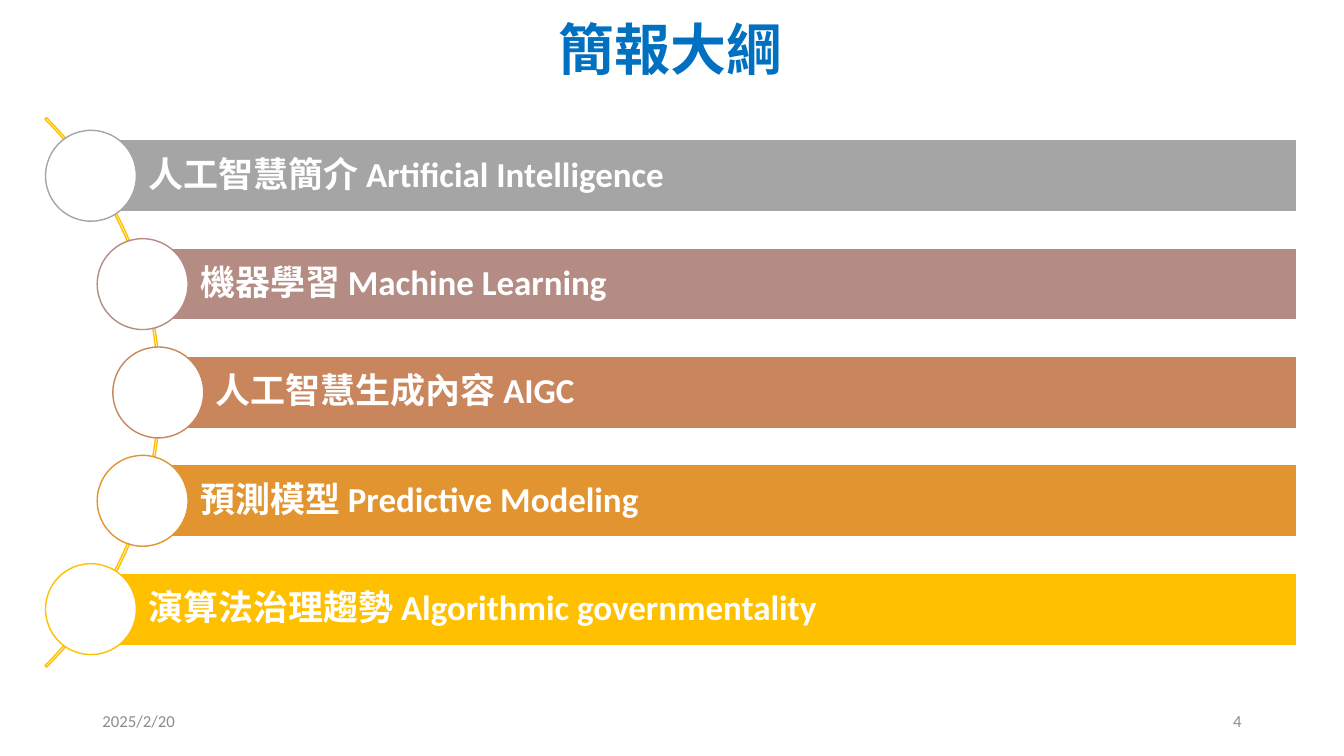
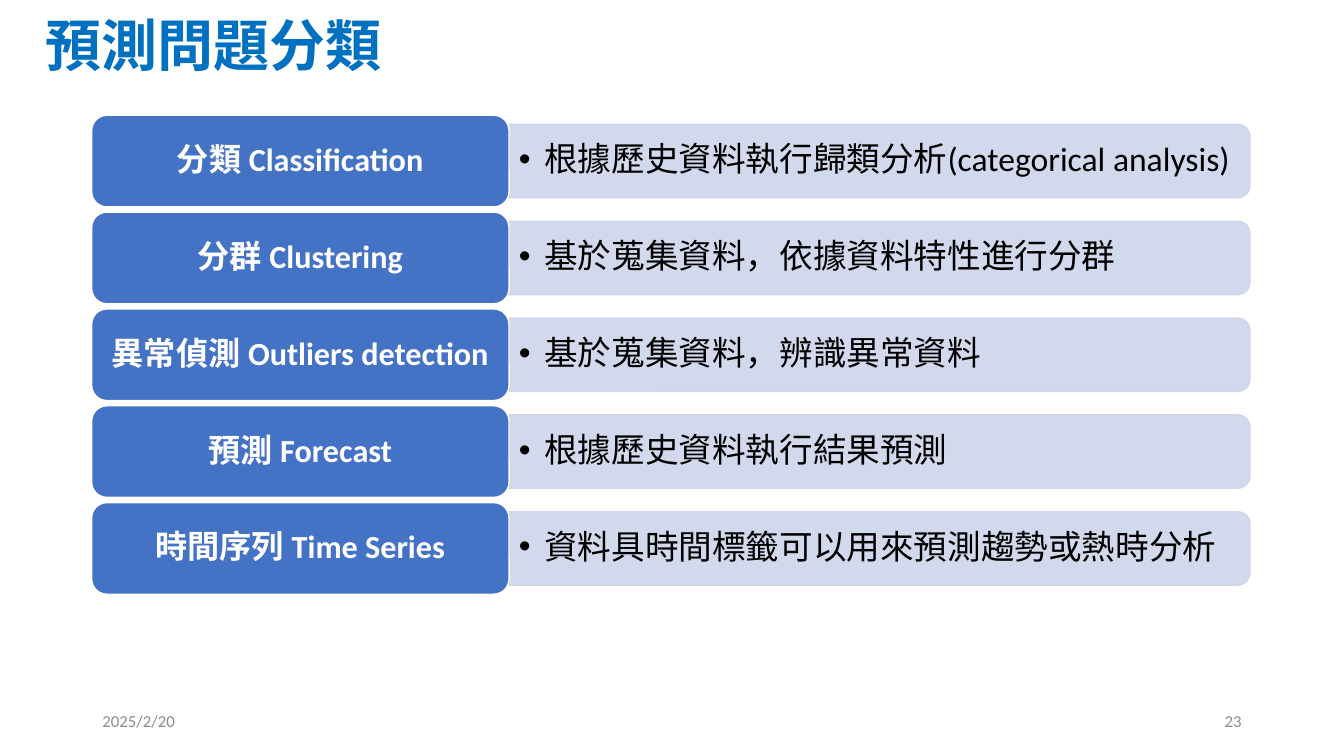
from math import sqrt
from typing import NamedTuple

from lxml.etree import SubElement as Sub
from pptx import Presentation
from pptx.dml.color import RGBColor as Rgb
from pptx.enum.shapes import MSO_SHAPE as Kind
from pptx.enum.text import MSO_ANCHOR as Anchor, PP_ALIGN as Align
from pptx.oxml.ns import qn
from pptx.shapes.autoshape import Shape
from pptx.slide import Slide
from pptx.util import Cm, Pt

FACE = "Calibri"
HUES = {
    "title": "0070C0", "foot": "8C8C8C", "white": "FFFFFF", "black": "000000",
    "arc": "FFC000", "label": "4472C4", "panel": "CFD5EA",
}


class Style(NamedTuple):
    size: int
    hue: str
    bold: bool = False
    align: Align = Align.LEFT
    lead: float = 0.9
    pad: tuple[float, float, float, float] = (0.25, 0.13, 0.25, 0.13)
    dot: bool = False


class Topic(NamedTuple):
    text: str
    hue: str


class Task(NamedTuple):
    label: str
    detail: str


TITLE = Style(40, "title", True)
FOOT = Style(12, "foot", lead=1)
TOPIC = Style(25, "white", True, pad=(1.45, 0.18, 0.18, 0.18))
LABEL = Style(23, "white", True, Align.CENTER)
DETAIL = Style(24, "black", dot=True)

TOPICS = [
    Topic("人工智慧簡介 Artificial Intelligence", "A5A5A5"),
    Topic("機器學習 Machine Learning", "B48C83"),
    Topic("人工智慧生成內容 AIGC", "C9855C"),
    Topic("預測模型 Predictive Modeling", "E19430"),
    Topic("演算法治理趨勢 Algorithmic governmentality", "FFC000"),
]
TASKS = [
    Task("分類 Classification", "根據歷史資料執行歸類分析(categorical analysis)"),
    Task("分群 Clustering", "基於蒐集資料，依據資料特性進行分群"),
    Task("異常偵測 Outliers detection", "基於蒐集資料，辨識異常資料"),
    Task("預測 Forecast", "根據歷史資料執行結果預測"),
    Task("時間序列 Time Series", "資料具時間標籤可以用來預測趨勢或熱時分析"),
]


# Shared helpers
def write(shape: Shape, text: str, style: Style) -> None:
    frame = shape.text_frame
    frame.word_wrap = True
    frame.vertical_anchor = Anchor.MIDDLE
    (frame.margin_left, frame.margin_top,
     frame.margin_right, frame.margin_bottom) = map(Cm, style.pad)
    para = frame.paragraphs[0]
    para.text = text
    para.alignment = style.align
    para.line_spacing = style.lead
    if style.dot:
        props = para._p.get_or_add_pPr()
        props.set("marL", str(Cm(0.64)))
        props.set("indent", str(-Cm(0.64)))
        Sub(props, qn("a:buFont"), typeface="Arial")
        Sub(props, qn("a:buChar"), char="•")
    font = para.font
    font.name = FACE
    font.size = Pt(style.size)
    font.bold = style.bold
    font.color.rgb = Rgb.from_string(HUES[style.hue])


def note(slide: Slide, x: float, y: float, w: float, h: float,
         text: str, style: Style) -> None:
    write(slide.shapes.add_textbox(Cm(x), Cm(y), Cm(w), Cm(h)), text, style)


def draw(slide: Slide, kind: Kind, x: float, y: float, w: float, h: float,
         fill: str | None, line: str) -> Shape:
    shape = slide.shapes.add_shape(kind, Cm(x), Cm(y), Cm(w), Cm(h))
    shape.shadow.inherit = False
    if fill:
        shape.fill.solid()
        shape.fill.fore_color.rgb = Rgb.from_string(fill)
    else:
        shape.fill.background()
    shape.line.color.rgb = Rgb.from_string(line)
    shape.line.width = Pt(1)
    return shape


def fade(shape: Shape, share: int) -> None:
    for tone in shape._element.spPr.iter(qn("a:srgbClr")):
        Sub(tone, qn("a:alpha"), val=str(share * 1000))


def start(deck: Presentation, title: str, top: float, align: Align,
          page: int) -> Slide:
    slide = deck.slides.add_slide(deck.slide_layouts[6])
    note(slide, 0.91, top, 31.98, 2.06, title, TITLE._replace(align=align))
    note(slide, 2.33, 17.65, 7.62, 1.01, "2025/2/20", FOOT)
    note(slide, 23.92, 17.65, 7.62, 1.01, str(page),
         FOOT._replace(align=Align.RIGHT))
    return slide


# Outline: bars strung along an arc
def outline(deck: Presentation) -> None:
    slide = start(deck, "簡報大綱", 0.3, Align.CENTER, 4)
    mid, step, right = 9.89, 2.73, 32.69
    high, ball = 1.82, 2.29
    rad, axis = 9.63, -5.64

    size = 19.58
    arc = draw(slide, Kind.BLOCK_ARC, -15.54, mid - size / 2, size, size,
               None, HUES["arc"])
    # Angles of 315 and 45 degrees, then the band's thickness
    for i, val in enumerate((18_900_000, 2_700_000, 280)):
        arc.adjustments[i] = val / 100_000

    for i, topic in enumerate(TOPICS):
        rise = (i - len(TOPICS) // 2) * step
        x, y = axis + sqrt(rad ** 2 - rise ** 2), mid + rise
        bar = draw(slide, Kind.RECTANGLE, x, y - high / 2, right - x, high,
                   topic.hue, HUES["white"])
        write(bar, topic.text, TOPIC)
        draw(slide, Kind.OVAL, x - ball / 2, y - ball / 2, ball, ball,
             HUES["white"], topic.hue)


# Problem types: a label and a detail panel per row
def types(deck: Presentation) -> None:
    slide = start(deck, "預測問題分類", 0.2, Align.LEFT, 23)
    left, wide, high = 2.31, 10.52, 2.31
    edge, span, thick = 12.81, 18.69, 1.85
    for i, task in enumerate(TASKS):
        mid = 4.06 + i * 2.44
        # Turned a quarter so that the round corners face right
        panel = draw(slide, Kind.ROUND_2_SAME_RECTANGLE,
                     edge + (span - thick) / 2, mid - span / 2, thick, span,
                     HUES["panel"], HUES["panel"])
        panel.rotation = 90
        fade(panel, 90)
        note(slide, 12.83, mid - 0.84, 18.59, 1.68, task.detail, DETAIL)
        label = draw(slide, Kind.ROUNDED_RECTANGLE, left, mid - high / 2,
                     wide, high, HUES["label"], HUES["white"])
        write(label, task.label, LABEL)


def main() -> None:
    deck = Presentation()
    deck.slide_width, deck.slide_height = Cm(33.87), Cm(19.05)
    outline(deck)
    types(deck)
    deck.save("out.pptx")


if __name__ == "__main__":
    main()
